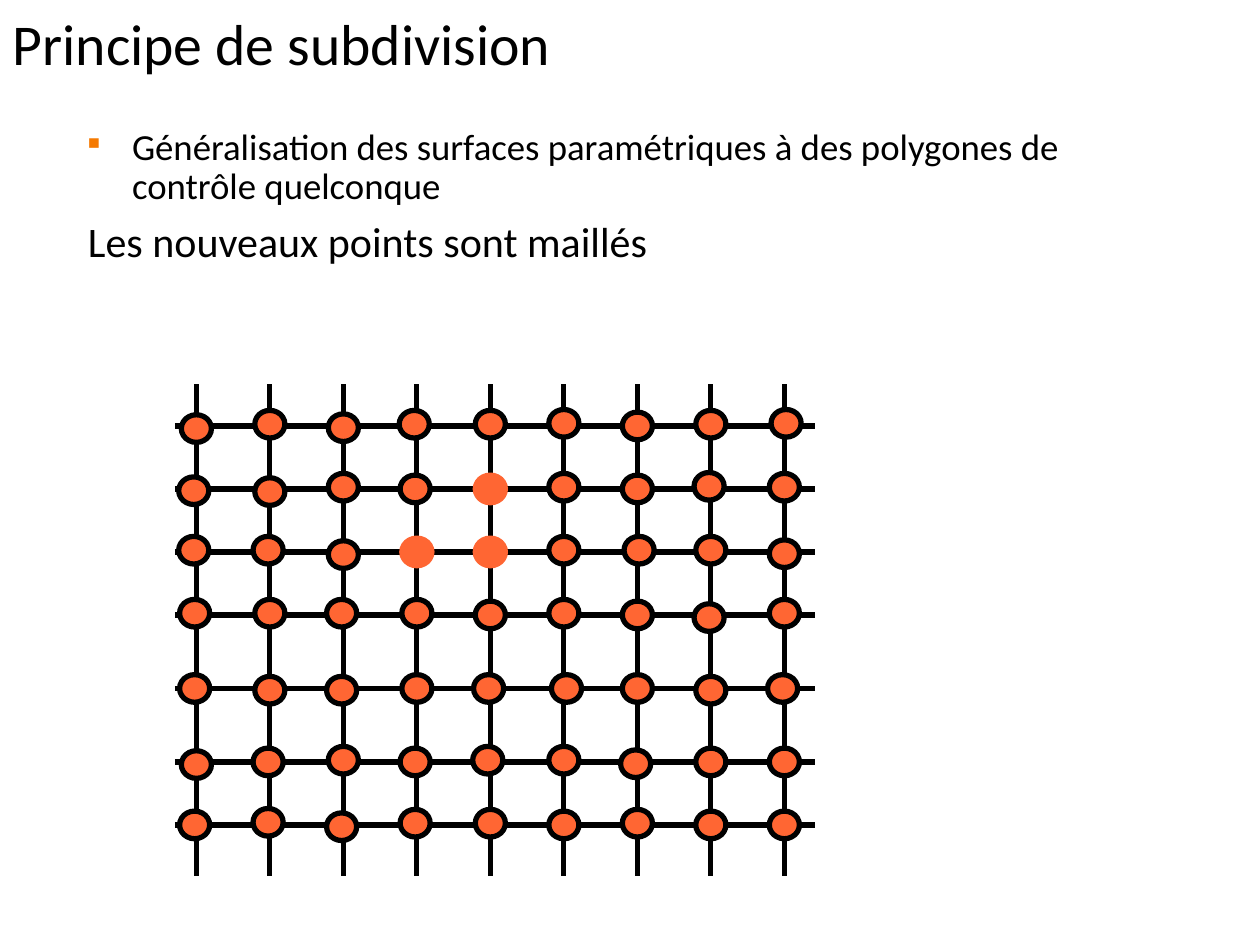
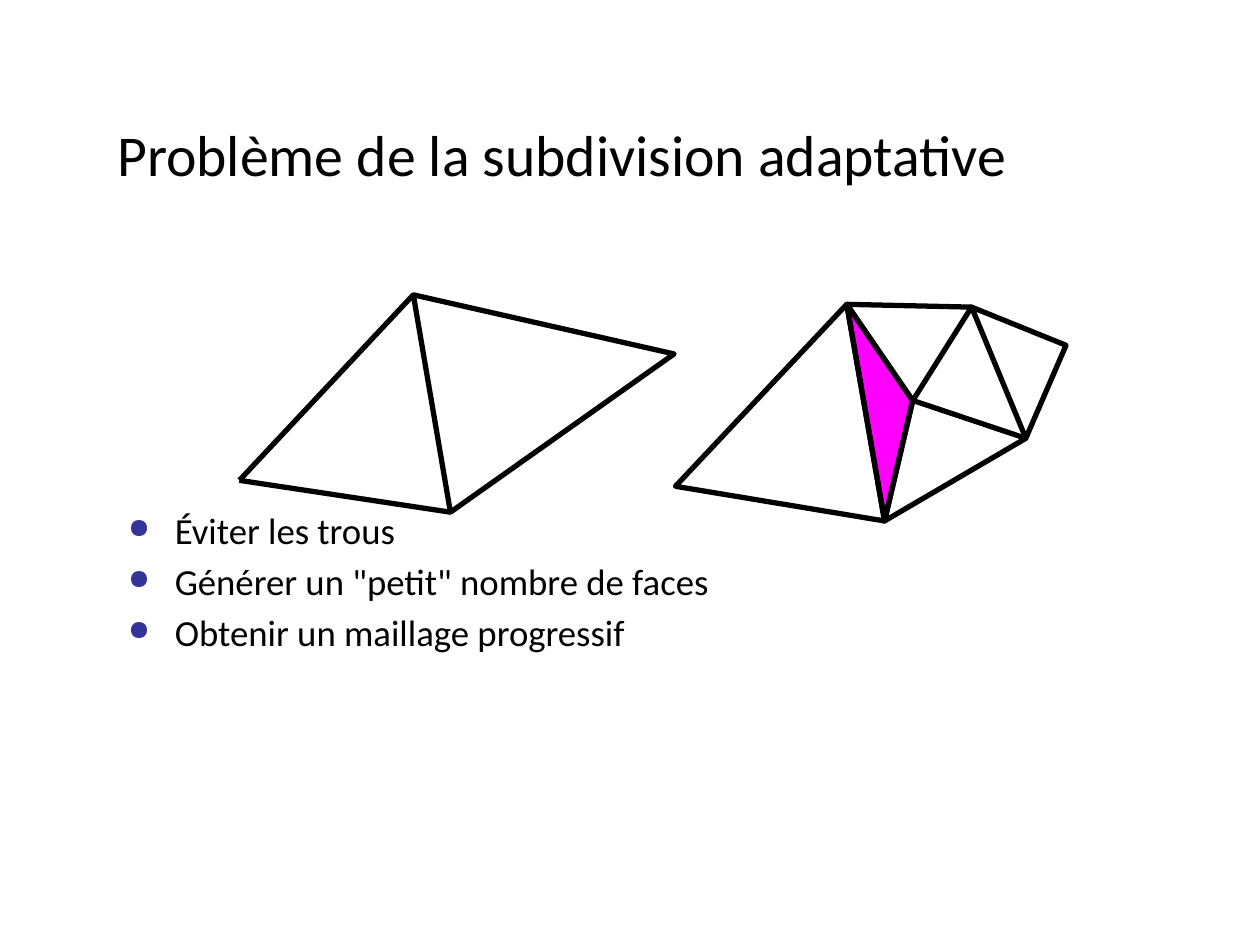
from itertools import accumulate

from lxml import etree
from pptx import Presentation
from pptx.dml.color import RGBColor
from pptx.enum.shapes import MSO_CONNECTOR, MSO_SHAPE
from pptx.enum.text import MSO_ANCHOR, MSO_AUTO_SIZE, PP_ALIGN
from pptx.oxml.ns import qn
from pptx.util import Pt

STRAIGHT = MSO_CONNECTOR.STRAIGHT
OVAL = MSO_SHAPE.OVAL
TOP, MIDDLE, BOTTOM = MSO_ANCHOR.TOP, MSO_ANCHOR.MIDDLE, MSO_ANCHOR.BOTTOM
LEFT = PP_ALIGN.LEFT
NO_FIT = MSO_AUTO_SIZE.NONE

BLACK = RGBColor(0x00, 0x00, 0x00)
ORANGE = RGBColor(0xFF, 0x66, 0x33)
MAGENTA = RGBColor(0xFF, 0x00, 0xFF)
BULLET_ORANGE = RGBColor(0xF5, 0x79, 0x00)
BULLET_BLUE = RGBColor(0x33, 0x33, 0x99)

FONT = "Calibri"
TITLE_SIZE = 33
BODY_SIZE = 21
LINE_SPACING = 0.9
LINE_WIDTH = 3

# Grid geometry, relative to the grid box
GRID_BOX = (100, 219.6, 366, 281)
COLUMNS = [12.2 + 42 * i for i in range(9)]
ROWS = list(accumulate([23.8, 36, 36, 36, 42, 42, 36]))
NODE_SIZE = (17.2, 15.8)
NEW_NODES = {(1, 4), (2, 3), (2, 4)}

# Hand-placed look of the nodes: shift from each crossing, by row
NODE_SHIFTS_X = [
    [0, 0, 0, -1.5, 0, 0, 0, 0, 1],
    [-1.5, 0, 0, -1, 0, 0, 0, -1, 0],
    [-1.5, -1, 0, 0, 0, 0, 1, 0, 0],
    [-1, 0, -1, 0, 0, 0, 0, -1, 0],
    [-1, 0, -1, 0, -1, 1.5, 0, 0, -1],
    [0, -1, 0, -1, -1.5, 0, -1, 0, 0],
    [-1, -1, -1, -1, 0, 0, 0, 0, 0],
]
NODE_SHIFTS_Y = [
    [1.5, -1, 1, -1, -1, -1.5, 0, -1, -1.5],
    [1, 1.5, -1, 0, 0, -1, 0, -1.5, -1],
    [-1, -1, 1.5, 0, 0, -1, -1, -1, 1],
    [-1, -1, -1, -1, 0, -1, 0, 1.5, -1],
    [0, 1, 1, 0, 0, 0, 0, 1, 0],
    [1.5, 0, -1, 0, -1, -1, 1, 0, 0],
    [0, -1.5, 1, -1, -1, 0, -1, 0, 0],
]


def add_span(para, text, size):
    span = para.add_run()
    span.text = text
    span.font.name = FONT
    span.font.size = Pt(size)
    span.font.color.rgb = BLACK


def set_frame(frame, anchor, inset_top):
    frame.word_wrap = True
    frame.auto_size = NO_FIT
    frame.vertical_anchor = anchor
    frame.margin_left = frame.margin_right = Pt(7.2)
    frame.margin_top, frame.margin_bottom = Pt(inset_top), Pt(3.6)


def add_page(deck, title, box, anchor, inset_top):
    page = deck.slides.add_slide(deck.slide_layouts[5])
    holder = page.shapes.title
    holder.left, holder.top, holder.width, holder.height = map(Pt, box)
    set_frame(holder.text_frame, anchor, inset_top)
    para = holder.text_frame.paragraphs[0]
    para.alignment = LEFT
    para.line_spacing = LINE_SPACING
    add_span(para, title, TITLE_SIZE)
    return page


def set_bullet(para, indent, hanging, char=None, color=None, percent=100):
    """Indent the paragraph and, if a character is given, put a bullet before it."""
    props = para._p.get_or_add_pPr()
    props.set("marL", str(Pt(indent)))
    props.set("indent", str(-Pt(hanging)))
    if char is None:
        etree.SubElement(props, qn("a:buNone"))
        return
    fill = etree.SubElement(props, qn("a:buClr"))
    etree.SubElement(fill, qn("a:srgbClr"), val=str(color))
    etree.SubElement(props, qn("a:buSzPct"), val=str(percent * 1000))
    etree.SubElement(props, qn("a:buChar"), char=char)


def add_body(page, box, inset_top, gap, items):
    """Items are (text, size, arguments of set_bullet)."""
    frame = page.shapes.add_textbox(*map(Pt, box)).text_frame
    set_frame(frame, TOP, inset_top)
    for index, (text, size, bullet) in enumerate(items):
        para = frame.add_paragraph() if index else frame.paragraphs[0]
        set_bullet(para, *bullet)
        para.line_spacing = LINE_SPACING
        para.space_before = Pt(gap if index else 0)
        add_span(para, text, size)


def set_line(shape, color=BLACK):
    shape.line.color.rgb = color
    shape.line.width = Pt(LINE_WIDTH)


def add_edge(page, start, end):
    edge = page.shapes.add_connector(STRAIGHT, *map(Pt, (*start, *end)))
    set_line(edge)
    etree.SubElement(edge._element.spPr, qn("a:effectLst"))


def add_outline(page, origin, points, closed=True, fill=None):
    """Draw a polygon whose points are relative to the origin."""
    left, top = origin
    first, *others = [(Pt(left + x), Pt(top + y)) for x, y in points]
    builder = page.shapes.build_freeform(*first)
    builder.add_line_segments(others, close=closed)
    outline = builder.convert_to_shape()
    outline.shadow.inherit = False
    if fill is None:
        outline.fill.background()
    else:
        outline.fill.solid()
        outline.fill.fore_color.rgb = fill
    set_line(outline)


def add_node(page, center_x, center_y, line_color):
    width, height = NODE_SIZE
    node = page.shapes.add_shape(
        OVAL, Pt(center_x - width / 2), Pt(center_y - height / 2), Pt(width), Pt(height))
    node.shadow.inherit = False
    node.fill.solid()
    node.fill.fore_color.rgb = ORANGE
    set_line(node, line_color)


def add_grid(page, box):
    left, top, width, height = box
    for x in COLUMNS:
        add_edge(page, (left + x, top), (left + x, top + height))
    for y in ROWS:
        add_edge(page, (left, top + y), (left + width, top + y))
    for row, y in enumerate(ROWS):
        for column, x in enumerate(COLUMNS):
            add_node(page,
                     left + x + NODE_SHIFTS_X[row][column],
                     top + y + NODE_SHIFTS_Y[row][column],
                     ORANGE if (row, column) in NEW_NODES else BLACK)


def add_coarse_mesh(page, origin):
    left, top = origin
    west, apex, south, east = (0, 106), (99.4, 0), (120.6, 124.2), (248.4, 33.8)
    add_outline(page, origin, [west, apex, south, east, apex], closed=False)
    add_edge(page, (left + west[0], top + west[1]), (left + south[0], top + south[1]))


def add_refined_mesh(page, origin):
    """Two faces, only one of them subdivided, with the hole between them filled."""
    west, apex, south = (0, 104.4), (97.9, 0.4), (119.5, 124.2)
    split, southeast = (135.6, 55.4), (200.2, 77)
    east, north = (223.2, 23.8), (169.2, 2)
    add_outline(page, origin, [apex, south, split], fill=MAGENTA)
    add_outline(page, origin, [west, apex, south])
    add_outline(page, origin, [apex, split, south, southeast, east, north])
    add_outline(page, origin, [north, split, southeast])


def add_principle_page(deck):
    page = add_page(deck, "Principe de subdivision", (0, 0.7, 720, 55.4), MIDDLE, 0.7)
    add_body(page, (34.6, 69.8, 648, 409.7), 3.6, 7.5, [
        ("Généralisation des surfaces paramétriques à des polygones de contrôle quelconque",
         BODY_SIZE, (33.8, 25.2, "■", BULLET_ORANGE, 45)),
        ("Les nouveaux points sont maillés", 24, (33.8, 25.2)),
    ])
    add_grid(page, GRID_BOX)


def add_problem_page(deck):
    page = add_page(deck, "Problème de la subdivision adaptative",
                    (59.8, 1.4, 624.2, 110.2), BOTTOM, 4.3)
    goals = ["Éviter les trous",
             'Générer un "petit" nombre de faces',
             "Obtenir un maillage progressif"]
    bullet = (26.6, 26.6, "●", BULLET_BLUE, 75)
    add_body(page, (66.2, 288, 605.5, 191.5), 5, 6.5,
             [(goal, BODY_SIZE, bullet) for goal in goals])
    add_coarse_mesh(page, (136.8, 168.5))
    add_refined_mesh(page, (386, 173.5))


def main():
    deck = Presentation()
    deck.slide_width, deck.slide_height = Pt(720), Pt(540)
    add_principle_page(deck)
    add_problem_page(deck)
    deck.save("out.pptx")


if __name__ == "__main__":
    main()
